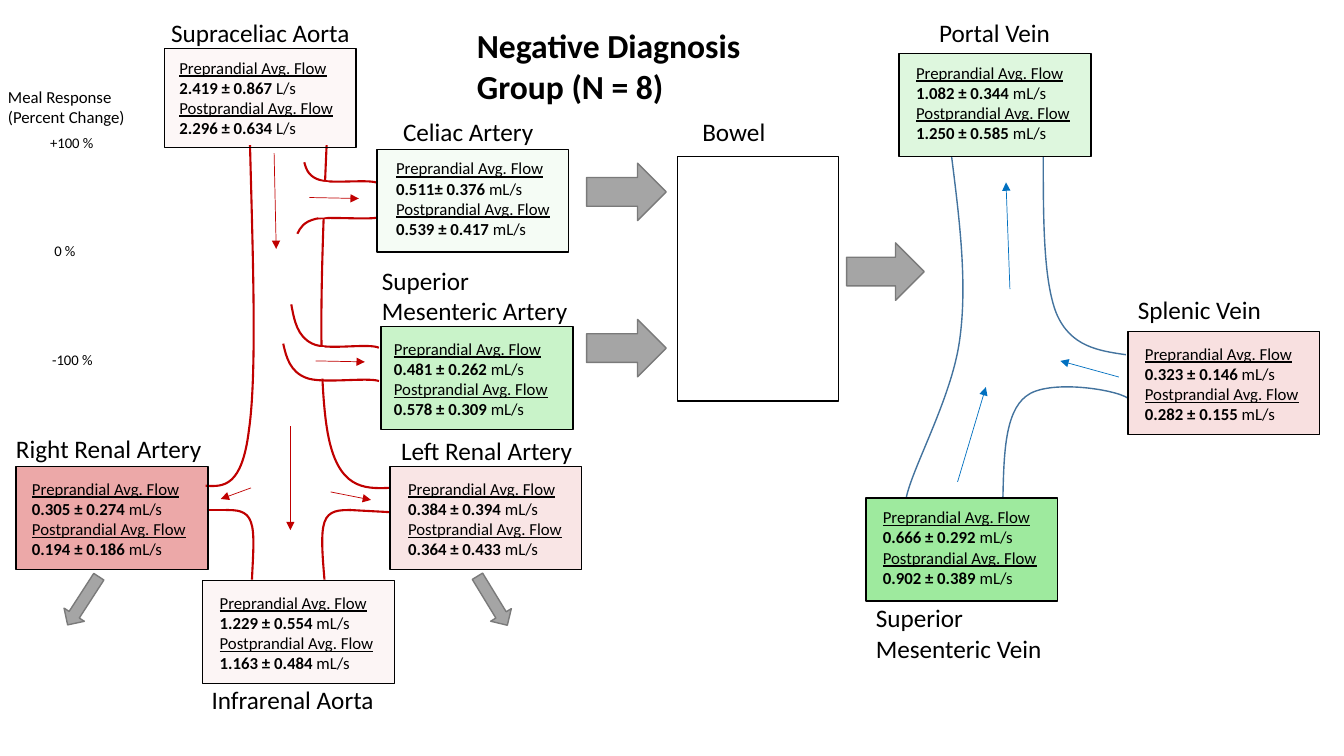
"""Build the blood flow diagram slide for the negative diagnosis group."""
from lxml.etree import SubElement
from pptx import Presentation
from pptx.dml.color import RGBColor
from pptx.enum.shapes import MSO_CONNECTOR as Connector, MSO_SHAPE as Shape
from pptx.enum.text import MSO_ANCHOR as Anchor, MSO_AUTO_SIZE as AutoSize, PP_ALIGN as Align
from pptx.oxml.ns import qn
from pptx.util import Pt

FONT = "Calibri"
COLORS = {
    "black": "000000", "white": "FFFFFF", "rise": "00C800", "fall": "C80000",
    "artery": "C00000", "vein": "43739E", "vein flow": "0070C0",
    "arrow": "A5A5A5", "arrow edge": "7A7A7A",
}
CARD_WIDTH, CARD_HEIGHT = 137, 73.5

CARDS = [
    ((805.7, 236.9), (810.7, 241.9), "fall", 12, "0.323 ± 0.146", "0.282 ± 0.155"),
    ((618.5, 355.7), (623.5, 358.6), "rise", 38, "0.666 ± 0.292", "0.902 ± 0.389"),
    ((269.3, 106.6), (275.8, 109.4), "rise", 4, "0.511± 0.376", "0.539 ± 0.417"),
    ((272.2, 233.3), (274.3, 238.3), "rise", 21, "0.481 ± 0.262", "0.578 ± 0.309"),
    ((278.6, 333.4), (284.4, 338.4), "fall", 10, "0.384 ± 0.394", "0.364 ± 0.433"),
    ((11.5, 333.4), (15.8, 338.4), "fall", 34, "0.305 ± 0.274", "0.194 ± 0.186"),
    ((144.7, 414.7), (149.8, 419.8), "fall", 4, "1.229 ± 0.554", "1.163 ± 0.484"),
    ((642.2, 38.2), (647.3, 41), "rise", 13, "1.082 ± 0.344", "1.250 ± 0.585"),
]
LABELS = [
    ("Supraceliac Aorta", 115.2, 8.6, 150, 18),
    ("Celiac Artery", 280.8, 79.9, 115, 18),
    ("Infrarenal Aorta", 144, 485.3, 137.5, 18),
    ("Left Renal Artery", 279.4, 307.4, 156, 18),
    ("Right Renal Artery", 4.3, 306, 156, 18),
    ("Superior Mesenteric Artery", 265.7, 185.8, 156, 18),
    ("Bowel", 494.6, 79.2, 64, 18),
    ("Portal Vein", 663.8, 8.6, 100, 18),
    ("Superior Mesenteric Vein", 618.5, 427, 143, 18),
    ("Splenic Vein", 805.7, 206.6, 106, 18),
    ("Meal Response (Percent Change)", -1.4, 58.3, 104.4, 12),
    ("+100 %", 28.8, 92.2, 50, 10.5),
    ("0 %", 31.7, 169.2, 40, 10.5),
    ("-100 %", 30.2, 247, 50, 10.5),
]
VEINS = [
    [(716.4, 355.7), (717.1, 324.7), (717.8, 294.5), (733, 283),
     (748.1, 270.7), (796.3, 277.9), (805.7, 284.4)],
    [(745.2, 111.6), (745.2, 156.2), (745.2, 200.2), (754.6, 223.9),
     (764.6, 247.7), (784.8, 250.6), (804.2, 253.4)],
    [(679.7, 111.6), (685.4, 157), (691.2, 203), (685.4, 243.4),
     (679.7, 284.4), (651.6, 334.1), (647.3, 355.7)],
]
ARTERIES = [
    [(178.6, 103.7), (180.7, 185.8), (183.6, 267.1), (177.8, 307.4),
     (172.8, 347.8), (159.8, 347.8), (146.9, 347)],
    [(233.3, 103.7), (229.7, 185.8), (226.8, 267.8), (234, 308.9),
     (241.2, 349.2), (259.9, 349.2), (277.9, 348.5)],
    [(217.4, 115.9), (218.9, 121.7), (221, 126.7), (229.7, 128.9),
     (238.3, 131), (262.1, 128.2), (268.6, 130.3)],
    [(212.4, 167), (214.6, 162.7), (216.7, 158.4), (226.1, 156.2),
     (235.4, 154.8), (262.1, 157), (269.3, 155.5)],
    [(208.1, 217.4), (210.2, 229), (212.4, 240.5), (223.2, 245.5),
     (233.3, 250.6), (262.8, 244.8), (270.7, 248.4)],
    [(202.3, 245.5), (204.5, 255.6), (207.4, 265.7), (218.9, 270),
     (230.4, 274.3), (262.1, 269.3), (270.7, 272.2)],
    [(180, 414), (180.7, 397.4), (182.2, 380.9), (179.3, 373),
     (176.4, 364.3), (168.5, 364.3), (161.3, 364.3)],
    [(231.8, 414), (230.4, 397.4), (229, 380.9), (231.8, 373),
     (234.7, 364.3), (242.6, 364.3), (250.6, 364.3)],
]
RENAL_WALLS = [(249.8, 364.3, 277.9, 365.8), (147.6, 364.3, 164.9, 364.3)]
BRANCH_OPENINGS = [
    ([(229, 129.6), (234.7, 130.3), (234, 154.8), (231.1, 155.5), (227.5, 155.5)], None),
    ([(227.5, 248.4), (231.1, 248.4), (233.3, 270), (227.5, 270)], "white"),
]
ARTERY_FLOWS = [
    (195.8, 109.4, 197.3, 177.8), (207.4, 304.6, 207.4, 378.7),
    (221, 141.1, 256.3, 141.8), (225.4, 257.8, 260.6, 258.5),
    (179.3, 348.5, 157.7, 356.4), (236.2, 351.4, 265, 357.1),
]
VEIN_FLOWS = [
    (684, 344.2, 704.2, 276.5), (799.2, 269.3, 757.4, 257.8), (721.4, 206.6, 718.6, 130.3),
]
BLOCK_ARROWS = [
    (419, 116.6, 56.9, 41, 0), (419, 228.2, 56.9, 41, 0), (604.8, 173.5, 55.4, 41, 0),
    (38.9, 420.5, 41, 17.3, 122.9), (331.2, 420.5, 41, 17.3, 58.6),
]


def rgb(name):
    return RGBColor.from_string(COLORS[name])


def paint(shape, fill=None, line=None, width=1, alpha=100):
    shape.shadow.inherit = False
    if fill:
        shape.fill.solid()
        shape.fill.fore_color.rgb = rgb(fill)
        if alpha < 100:
            color = shape.element.spPr.find(".//" + qn("a:srgbClr"))
            SubElement(color, qn("a:alpha"), val=str(alpha * 1000))
    else:
        shape.fill.background()
    if line:
        shape.line.color.rgb = rgb(line)
        shape.line.width = Pt(width)
    else:
        shape.line.fill.background()


def add_block(slide, kind, left, top, width, height, fill, line, alpha=100):
    shape = slide.shapes.add_shape(kind, Pt(left), Pt(top), Pt(width), Pt(height))
    paint(shape, fill, line, alpha=alpha)
    return shape


def add_outline(slide, points, close):
    start, *rest = [(Pt(x), Pt(y)) for x, y in points]
    builder = slide.shapes.build_freeform(*start)
    builder.add_line_segments(rest, close=close)
    return builder.convert_to_shape()


def add_vessel_wall(slide, points, color, width):
    shape = add_outline(slide, points, close=False)
    paint(shape, line=color, width=width)
    segments = shape.element.xpath(".//a:lnTo")
    for first, second, third in zip(*[iter(segments)] * 3):
        curve = first.makeelement(qn("a:cubicBezTo"))
        first.addprevious(curve)
        for segment in (first, second, third):
            curve.append(segment[0])
            segment.getparent().remove(segment)


def add_line(slide, ends, color, width, arrow=False):
    line = slide.shapes.add_connector(Connector.STRAIGHT, *[Pt(value) for value in ends])
    line.line.color.rgb = rgb(color)
    line.line.width = Pt(width)
    if arrow:
        SubElement(line.line._get_or_add_ln(), qn("a:tailEnd"), type="triangle")
    SubElement(line.element.spPr, qn("a:effectLst"))


def format_paragraph(paragraph, size, bold=None, underline=None):
    font = paragraph.font
    font.name, font.size, font.bold, font.underline = FONT, Pt(size), bold, underline
    font.color.rgb = rgb("black")


def add_text_box(slide, left, top, width, height):
    frame = slide.shapes.add_textbox(Pt(left), Pt(top), Pt(width), Pt(height)).text_frame
    frame.word_wrap = True
    frame.auto_size = AutoSize.SHAPE_TO_FIT_TEXT
    return frame


def add_label(slide, text, left, top, width, size):
    paragraph = add_text_box(slide, left, top, width, size * 1.6).paragraphs[0]
    paragraph.text = text
    format_paragraph(paragraph, size)


def add_flow_card(slide, corner, text_corner, change, alpha, before, after,
                  unit="mL/s", height=CARD_HEIGHT):
    add_block(slide, Shape.RECTANGLE, *corner, CARD_WIDTH, height, change, "black", alpha)
    frame = add_text_box(slide, *text_corner, 132.5, 66)
    paragraph = frame.paragraphs[0]
    for meal, value in (("Preprandial", before), ("Postprandial", after)):
        if paragraph.runs:
            paragraph = frame.add_paragraph()
        paragraph.text = f"{meal} Avg. Flow"
        format_paragraph(paragraph, 12, underline=True)
        reading = frame.add_paragraph()
        format_paragraph(reading, 12)
        for text, bold in ((value + " ", True), (unit, False)):
            run = reading.add_run()
            run.text, run.font.bold = text, bold


def set_title(slide, text):
    title = slide.shapes.title
    title.left, title.top, title.width, title.height = Pt(333.4), Pt(14.4), Pt(244), Pt(65.5)
    frame = title.text_frame
    frame.text, frame.word_wrap = text, True
    frame.auto_size, frame.vertical_anchor = AutoSize.NONE, Anchor.TOP
    paragraph = frame.paragraphs[0]
    paragraph.alignment, paragraph.line_spacing = Align.LEFT, 1.0
    format_paragraph(paragraph, 24, bold=True)


def main():
    presentation = Presentation()
    presentation.slide_width, presentation.slide_height = Pt(960), Pt(540)
    slide = presentation.slides.add_slide(presentation.slide_layouts[5])
    set_title(slide, "Negative Diagnosis Group (N = 8)")
    for points in VEINS:
        add_vessel_wall(slide, points, "vein", 1)
    for points in ARTERIES:
        add_vessel_wall(slide, points, "artery", 1.5)
    for ends in RENAL_WALLS:
        add_line(slide, ends, "artery", 1.5)
    for *frame, rotation in BLOCK_ARROWS:
        add_block(slide, Shape.RIGHT_ARROW, *frame, "arrow", "arrow edge").rotation = rotation
    add_block(slide, Shape.RECTANGLE, 483.8, 111.6, 115.2, 175, None, "black")
    for card in CARDS:
        add_flow_card(slide, *card)
    add_flow_card(slide, (117.4, 34.6), (121, 37.4), "fall", 3,
                  "2.419 ± 0.867", "2.296 ± 0.634", unit="L/s", height=70.6)
    for points, line in BRANCH_OPENINGS:
        paint(add_outline(slide, points, close=True), "white", line)
    for label in LABELS:
        add_label(slide, *label)
    for color, flows in (("artery", ARTERY_FLOWS), ("vein flow", VEIN_FLOWS)):
        for ends in flows:
            add_line(slide, ends, color, 0.5, arrow=True)
    presentation.save("out.pptx")


if __name__ == "__main__":
    main()
